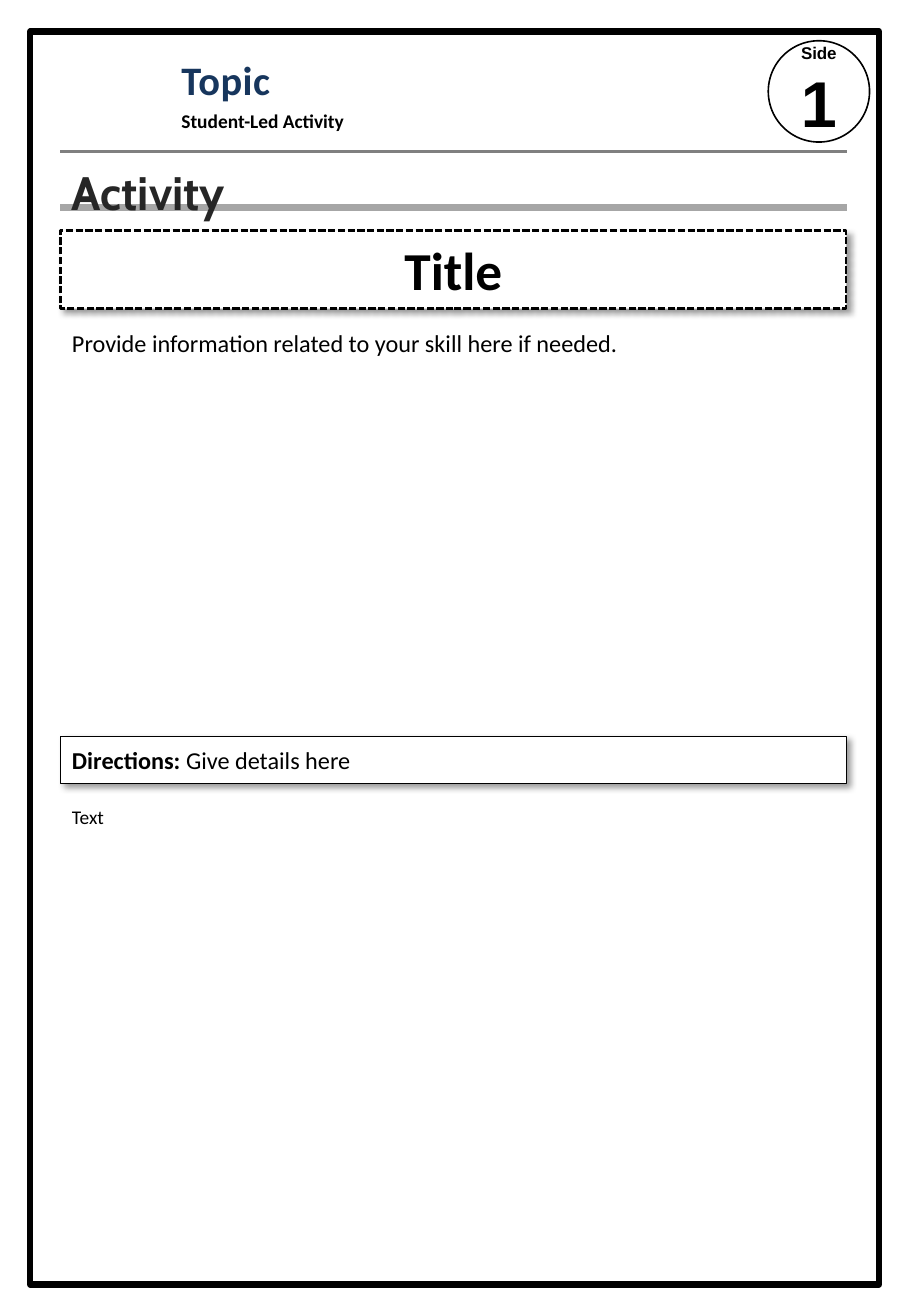
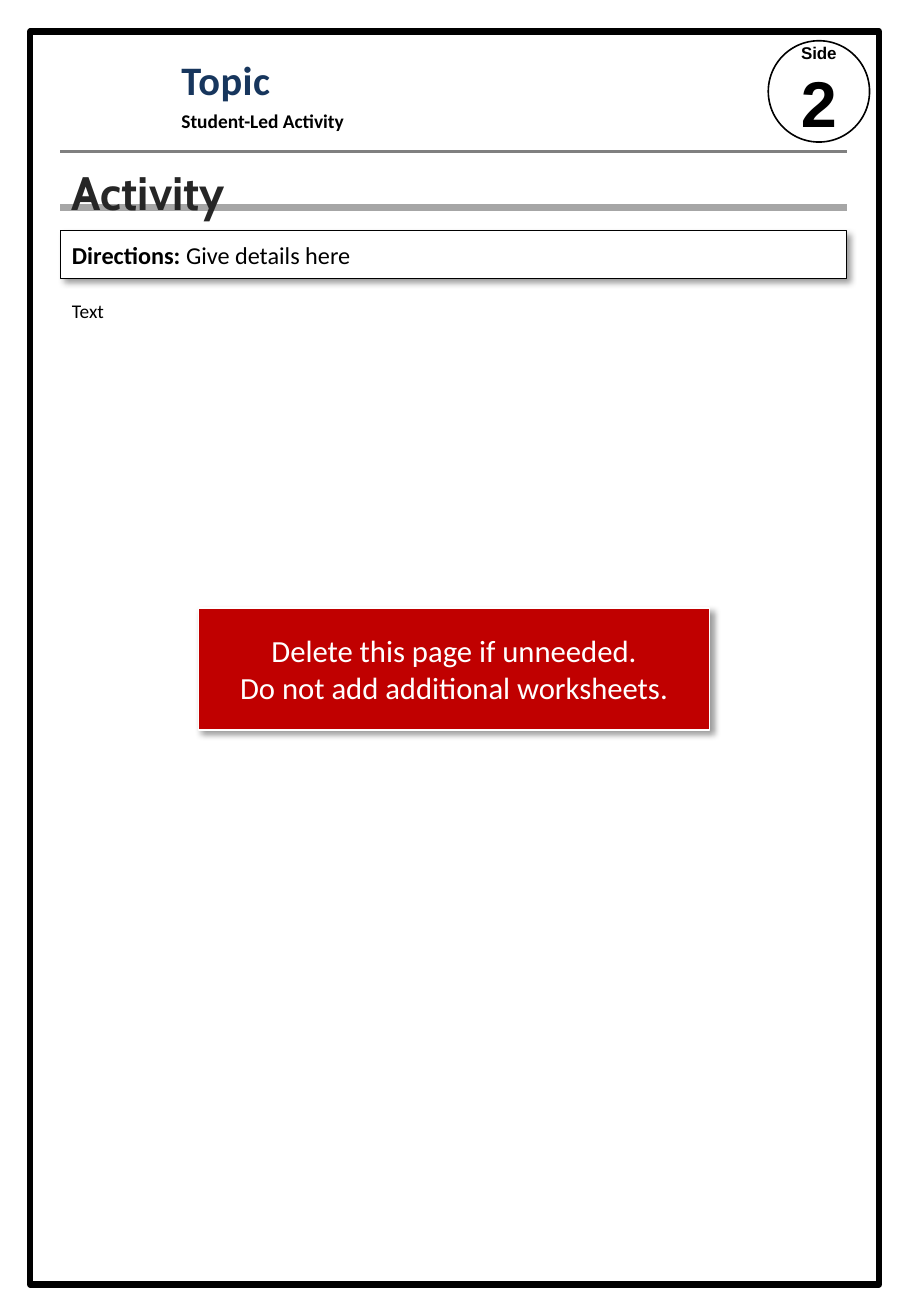
from dataclasses import dataclass
from lxml.etree import SubElement as Sub
from pptx import Presentation
from pptx.dml.color import RGBColor as Rgb
from pptx.enum.dml import MSO_LINE as Dash
from pptx.enum.shapes import MSO_CONNECTOR as Conn, MSO_SHAPE as Kind
from pptx.enum.text import MSO_ANCHOR as Anchor, PP_ALIGN as Align
from pptx.oxml.ns import qn
from pptx.util import Inches, Pt

HEAD = {"topic": "Topic", "kind": "Student-Led Activity", "band": "Activity"}
TASK = [("Directions: ", True), ("Give details here", False)]
PAGES = [
    {"side": "1", "title": "Title", "task": 6.32,
     "info": "Provide information related to your skill here if needed."},
    {"side": "2", "task": 1.98,
     "alert": ["Delete this page if unneeded.",
               "Do not add additional worksheets."]},
]


@dataclass
class Theme:
    ink: str = "000000"
    paper: str = "FFFFFF"
    navy: str = "17365D"
    dark: str = "262626"
    rule: str = "808080"
    band: str = "A6A6A6"
    red: str = "C00000"
    body: str = "Calibri"
    head: str = "Cabin"
    badge: str = "Arial"
    small: float = 12
    text: float = 15
    note: float = 19
    topic: float = 25
    name: float = 29
    title: float = 33
    label: float = 10.5
    digit: float = 40


T = Theme()
WIDE, HIGH = 7.8, 11.3
LEFT, SPAN = 0.52, 6.75
RIGHT, INDENT = 7.28, 1.46
TOP, GAP = 1.98, 0.13


def rgb(code):
    return Rgb.from_string(code)


def write(shape, lines, size=T.text, font=T.body, color=T.ink, bold=False,
          align=Align.LEFT, anchor=Anchor.TOP, pad=0.05, space=0):
    frame = shape.text_frame
    frame.word_wrap = True
    frame.vertical_anchor = anchor
    frame.margin_left = frame.margin_right = Inches(0.1 if pad else 0)
    frame.margin_top = frame.margin_bottom = Inches(pad)
    for num, line in enumerate([lines] if isinstance(lines, str) else lines):
        para = frame.add_paragraph() if num else frame.paragraphs[0]
        para.alignment = align
        runs = [(line, bold)] if isinstance(line, str) else line
        for text, heavy, *own in runs:
            run = para.add_run()
            run.text = text
            face = run.font
            face.name, face.bold = font, heavy
            face.size = Pt(own[0] if own else size)
            face.color.rgb = rgb(color)
            if space:
                run._r.get_or_add_rPr().set("spc", str(space))


def label(slide, box, lines, **style):
    shape = slide.shapes.add_textbox(*map(Inches, box))
    write(shape, lines, **style)


def shade(shape):
    cast = Sub(shape._element.spPr.find(qn("a:effectLst")),
               qn("a:outerShdw"), blurRad=str(Pt(4)), dist=str(Pt(3)),
               dir="2700000", algn="tl", rotWithShape="0")
    tint = Sub(cast, qn("a:srgbClr"), val=T.ink)
    Sub(tint, qn("a:alpha"), val="40000")


def panel(slide, box, kind=Kind.RECTANGLE, fill=T.paper, line=T.ink,
          width=0, dash=None, shadow=False):
    shape = slide.shapes.add_shape(kind, *map(Inches, box))
    shape.shadow.inherit = False
    if fill:
        shape.fill.solid()
        shape.fill.fore_color.rgb = rgb(fill)
    else:
        shape.fill.background()
    if width:
        shape.line.color.rgb = rgb(line)
        shape.line.width = Pt(width)
        if dash:
            shape.line.dash_style = dash
    else:
        shape.line.fill.background()
    if shadow:
        shade(shape)
    return shape


def rule(slide, y, color, width):
    ends = map(Inches, (LEFT, y, RIGHT, y))
    line = slide.shapes.add_connector(Conn.STRAIGHT, *ends)
    line.line.color.rgb = rgb(color)
    line.line.width = Pt(width)
    Sub(line._element.spPr, qn("a:effectLst"))


def header(slide):
    panel(slide, (0.26, 0.27, 7.29, 10.76), fill=None, width=4)
    rule(slide, 1.3, T.rule, 1.5)
    wide = RIGHT - INDENT
    label(slide, (INDENT, 0.89, wide, 0.3), HEAD["kind"], size=T.small,
          bold=True, anchor=Anchor.MIDDLE)
    label(slide, (INDENT, 0.47, wide, 0.47), HEAD["topic"], size=T.topic,
          color=T.navy, bold=True, pad=0.001, space=30)
    rule(slide, 1.78, T.band, 4.5)
    label(slide, (LEFT, 1.43, 4.35, 0.44), HEAD["band"], size=T.name,
          font=T.head, color=T.dark, bold=True, anchor=Anchor.MIDDLE)


def intro(slide, title, info):
    high = 0.67
    box = panel(slide, (LEFT, TOP, SPAN, high), width=1.5,
                dash=Dash.SQUARE_DOT, shadow=True)
    write(box, title, size=T.title, bold=True, align=Align.CENTER,
          anchor=Anchor.MIDDLE)
    box = panel(slide, (LEFT, TOP + high + GAP - 0.01, SPAN, 0.36))
    write(box, info)


def task(slide, y):
    high = 0.41
    box = panel(slide, (LEFT, y, SPAN, high), width=0.5, shadow=True)
    write(box, [TASK], anchor=Anchor.MIDDLE)
    label(slide, (LEFT, y + high + GAP, SPAN, 0.32), "Text", size=T.small)


def alert(slide, lines):
    wide, high = 4.39, 1.05
    box = panel(slide, ((WIDE - wide) / 2, 5.22, wide, high), fill=T.red,
                line=T.paper, width=1, shadow=True)
    write(box, lines, size=T.note, color=T.paper, align=Align.CENTER,
          anchor=Anchor.MIDDLE)


def badge(slide, side):
    disc = panel(slide, (6.6, 0.35, 0.87, 0.87), Kind.OVAL, width=1)
    write(disc, [[("Side", True, T.label)], [(side, True, T.digit)]],
          font=T.badge, align=Align.CENTER, anchor=Anchor.MIDDLE, pad=0)


def main():
    deck = Presentation()
    deck.slide_width, deck.slide_height = Inches(WIDE), Inches(HIGH)
    for page in PAGES:
        slide = deck.slides.add_slide(deck.slide_layouts[6])
        header(slide)
        if "title" in page:
            intro(slide, page["title"], page["info"])
        task(slide, page["task"])
        if "alert" in page:
            alert(slide, page["alert"])
        badge(slide, page["side"])
    deck.save("out.pptx")


if __name__ == "__main__":
    main()
